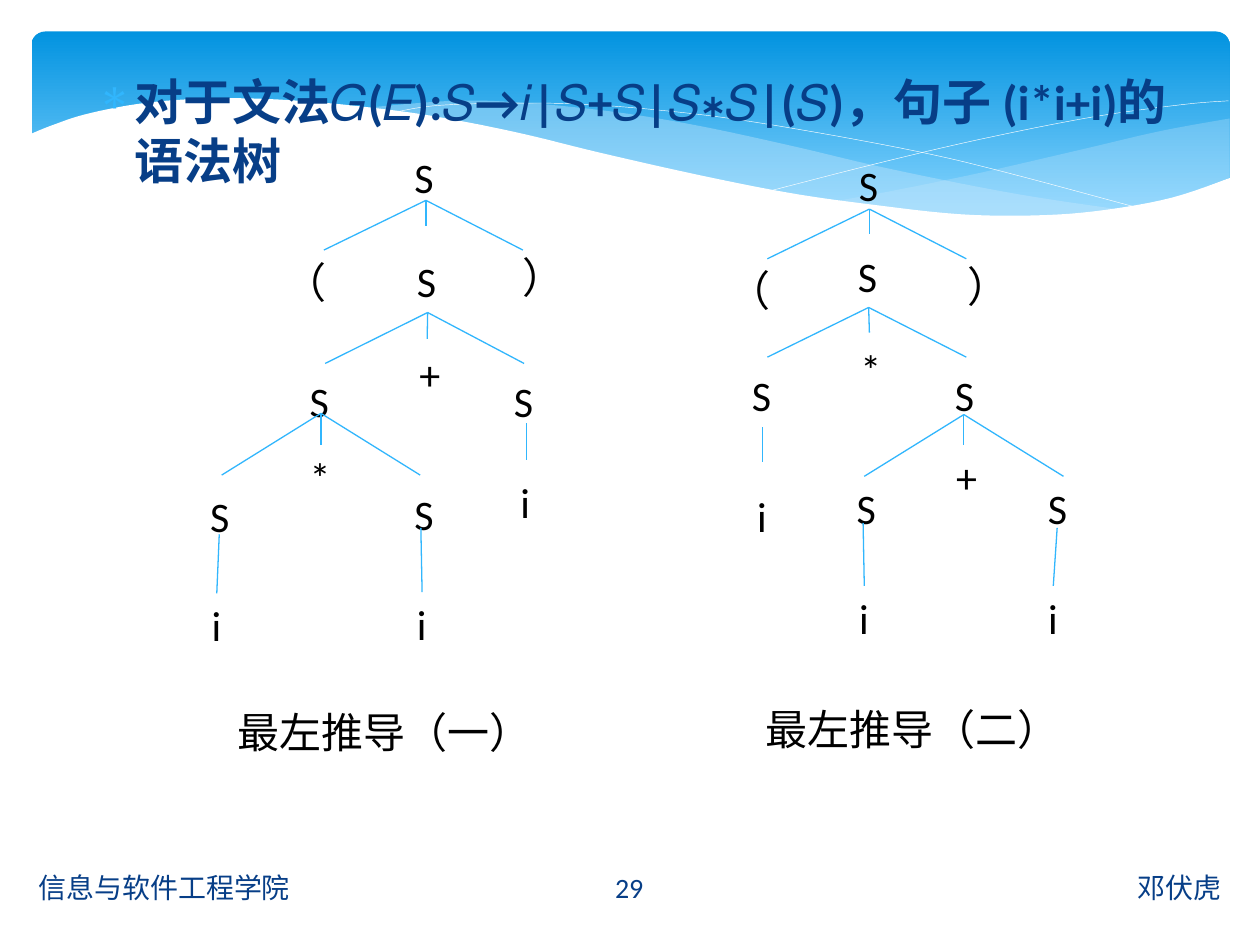
from dataclasses import dataclass
from typing import Optional

import lxml.etree
import pptx
import pptx.dml.color
import pptx.enum.shapes
import pptx.enum.text
import pptx.oxml
import pptx.oxml.ns
import pptx.util

Pt = pptx.util.Pt
RGBColor = pptx.dml.color.RGBColor
Align = pptx.enum.text.PP_ALIGN
Anchor = pptx.enum.text.MSO_ANCHOR
qn = pptx.oxml.ns.qn

NAVY = RGBColor(0x07, 0x3E, 0x87)
SKY = RGBColor(0x31, 0xB6, 0xFD)
BLACK = RGBColor(0, 0, 0)
WHITE = RGBColor(255, 255, 255)
PALE = RGBColor(0xC6, 0xE7, 0xFC)
HEADER_TOP = RGBColor(0x02, 0x93, 0xE0)
HEADER_END = RGBColor(0x83, 0xD3, 0xFE)
FONT = "Calibri"
NODE_HEIGHT = 36
NODE_WIDTHS = {"i": 20.2, "（": 38.9, "）": 38.9}
CAPTION_WIDTH = 184.3


@dataclass
class Node:
    text: str
    left: float
    top: float


@dataclass
class Branch:
    """Three lines from one apex; parent is the index of a joined node."""
    x: float
    y: float
    left: float
    right: float
    drop: float
    stem: float
    parent: Optional[int] = None


@dataclass
class Stem:
    """One line down; child is the index of a joined node."""
    x1: float
    y1: float
    x2: float
    y2: float
    child: Optional[int] = None


@dataclass
class Tree:
    nodes: list
    branches: list
    stems: list
    caption: Node


# Waves of the header, as knots of smooth curves
RIGHT_TOP = [(702.7, 67.7), (663.1, 74.9), (619.9, 85), (560.9, 98.6), (508.3, 109.4), (475.9, 115.2)]
RIGHT_BOTTOM = [(475.9, 115.2), (517.7, 120.2), (562.3, 123.8), (601.2, 123.8), (634.3, 120.2),
                (668.2, 113.8), (702.7, 101.5)]
MIDDLE_TOP = [(643, 120.2), (581, 110.9), (508.3, 96.5), (452.9, 83.5), (399.6, 72), (352.1, 64.1),
              (302.4, 59), (259.9, 57.6), (205.9, 61.9)]
MIDDLE_BOTTOM = [(205.9, 61.9), (260.6, 69.8), (323.3, 83.5), (407.5, 103), (468, 113.8),
                 (519.8, 121), (565.2, 123.8), (603.4, 123.8), (643, 120.2)]
LONG_LINE = [(222.5, 64.8), (247.7, 60.5), (288.7, 59), (337.7, 59.8), (400.3, 65.5), (457.9, 74.2),
             (523.4, 86.4), (572.4, 97.9), (653, 119.5)]
SHORT_LINE = [(441.4, 108.7), (500.4, 93.6), (558.7, 79.9), (623.5, 67), (675.4, 59.8), (702, 57.6)]
FRONT_EDGE = [(703.4, 101.5), (669.6, 113), (630, 120.2), (592.6, 123.1), (547.9, 122.4),
              (495.4, 116.6), (450.7, 110.2), (399.6, 100.1), (342, 87.1), (301, 77), (262.8, 69.1),
              (227.5, 63.4), (180, 58.3), (139, 56.2), (105.1, 56.9), (76.3, 59.8), (48.2, 65.5),
              (28.8, 72), (16.6, 77)]

TREES = [
    Tree([Node("S", 229.7, 82.8), Node("（", 155.5, 143.3), Node("）", 291.6, 140.4),
          Node("S", 231.1, 142.6), Node("S", 169.9, 211), Node("+", 232.6, 195.8),
          Node("S", 286.6, 211), Node("S", 113, 276.5), Node("*", 169.9, 254.2),
          Node("S", 229.7, 275.8), Node("i", 290.2, 268.6), Node("i", 113.8, 339.1),
          Node("i", 231.1, 338.4)],
         [Branch(243.4, 114.5, 58.3, 55.4, 28.4, 14.4),
          Branch(244.1, 179.3, 58.3, 55.4, 28.4, 14.4, parent=3),
          Branch(183.4, 236.2, 56.7, 56.7, 35.3, 18)],
         [Stem(301, 241.9, 301, 262.8), Stem(125.3, 305.3, 124.6, 339.1, child=11),
          Stem(240.5, 301.7, 241.2, 338.4, child=12)],
         Node("最左推导（一）", 128.9, 400.3)),
    Tree([Node("S", 483.8, 87.8), Node("（", 409, 147.6), Node("）", 545.8, 145.4),
          Node("S", 483.1, 139.7), Node("S", 422.6, 207.4), Node("*", 484.6, 193),
          Node("S", 538.6, 207.4), Node("S", 482.4, 272.2), Node("+", 539.3, 254.2),
          Node("S", 591.8, 272.2), Node("i", 425.5, 276.5), Node("i", 483.8, 334.8),
          Node("i", 591.8, 334.8)],
         [Branch(496.8, 119.5, 58.3, 55.4, 28.4, 14.4),
          Branch(496.8, 175.7, 58.3, 55.4, 28.4, 14.4, parent=3),
          Branch(550.8, 236.9, 56.9, 56.9, 35.3, 17.6)],
         [Stem(435.6, 244.1, 435.6, 264.2), Stem(493.2, 298.8, 493.9, 334.8, child=11),
          Stem(604.1, 301.7, 603.4, 334.8, child=12)],
         Node("最左推导（二）", 430.6, 398.2)),
]


def smooth(knots: list, steps: int = 6) -> list:
    """Points of a Catmull-Rom curve through the knots."""
    ends = [knots[0], *knots, knots[-1]]
    points = [knots[0]]
    for a, b, c, d in zip(ends, ends[1:], ends[2:], ends[3:]):
        for step in range(1, steps + 1):
            t = step / steps
            points.append(tuple(
                0.5 * (2 * q + (r - p) * t + (2 * p - 5 * q + 4 * r - s) * t ** 2
                       + (3 * q - p - 3 * r + s) * t ** 3)
                for p, q, r, s in zip(a, b, c, d)))
    return points


def draw_curve(page, points: list, fill: Optional[RGBColor] = None, opacity: int = 100) -> None:
    """A filled area, or a thin white line when no fill is given."""
    corners = [(Pt(x), Pt(y)) for x, y in points]
    builder = page.shapes.build_freeform(*corners[0], scale=1.0)
    builder.add_line_segments(corners[1:], close=fill is not None)
    shape = builder.convert_to_shape()
    shape.shadow.inherit = False
    if fill is None:
        shape.fill.background()
        shape.line.color.rgb = WHITE
        shape.line.width = Pt(0.25)
        return
    shape.fill.solid()
    shape.fill.fore_color.rgb = fill
    shape.line.fill.background()
    if opacity < 100:
        color = shape.element.spPr.find(qn("a:solidFill"))[0]
        lxml.etree.SubElement(color, qn("a:alpha")).set("val", str(opacity * 1000))


def write(box, text: str, *, size: float = 24, color: RGBColor = BLACK, bold: bool = False,
          align=Align.LEFT, anchor=Anchor.TOP, wrap: bool = False):
    frame = box.text_frame
    frame.word_wrap = wrap
    frame.auto_size = pptx.enum.text.MSO_AUTO_SIZE.NONE
    frame.vertical_anchor = anchor
    para = frame.paragraphs[0]
    para.alignment = align
    span = para.add_run()
    span.text = text
    span.font.name, span.font.size, span.font.bold = FONT, Pt(size), bold
    span.font.color.rgb = color
    return para


def draw_node(page, node: Node, width: float):
    box = page.shapes.add_textbox(Pt(node.left), Pt(node.top), Pt(width), Pt(NODE_HEIGHT))
    write(box, node.text)
    return box


def draw_line(page, x1: float, y1: float, x2: float, y2: float, parent=None, child=None) -> None:
    line = page.shapes.add_connector(pptx.enum.shapes.MSO_CONNECTOR.STRAIGHT,
                                     Pt(x1), Pt(y1), Pt(x2), Pt(y2))
    line.line.color.rgb = SKY
    line.line.width = Pt(0.75)
    lxml.etree.SubElement(line.element.spPr, qn("a:effectLst"))
    if parent is not None:
        line.begin_connect(parent, 2)
    if child is not None:
        line.end_connect(child, 0)


def draw_tree(page, tree: Tree) -> None:
    boxes = [draw_node(page, node, NODE_WIDTHS.get(node.text, 26.6)) for node in tree.nodes]
    for b in tree.branches:
        parent = None if b.parent is None else boxes[b.parent]
        for dx, dy in ((b.right, b.drop), (-b.left, b.drop), (0, b.stem)):
            draw_line(page, b.x, b.y, b.x + dx, b.y + dy, parent=parent)
    for s in tree.stems:
        child = None if s.child is None else boxes[s.child]
        draw_line(page, s.x1, s.y1, s.x2, s.y2, child=child)
    draw_node(page, tree.caption, CAPTION_WIDTH)


def draw_header(page) -> None:
    band = page.shapes.add_shape(pptx.enum.shapes.MSO_SHAPE.ROUNDED_RECTANGLE,
                                 Pt(18), Pt(18), Pt(684.7), Pt(112.3))
    band.adjustments[0] = 0.07
    band.shadow.inherit = False
    band.line.fill.background()
    band.fill.gradient()
    band.fill.gradient_angle = 270
    for stop, color, position in zip(band.fill.gradient_stops, (HEADER_TOP, HEADER_END), (0, 0.9)):
        stop.color.rgb = color
        stop.position = position
    draw_curve(page, smooth(RIGHT_TOP) + smooth(RIGHT_BOTTOM), PALE, 29)
    draw_curve(page, smooth(MIDDLE_TOP) + smooth(MIDDLE_BOTTOM), PALE, 40)
    draw_curve(page, smooth(LONG_LINE))
    draw_curve(page, smooth(SHORT_LINE))
    draw_curve(page, smooth(FRONT_EDGE) + [(16.6, 161), (703.4, 161)], WHITE)


def draw_title(page) -> None:
    title = page.shapes.title
    title.left, title.top, title.width, title.height = Pt(48.2), Pt(37.4), Pt(648.7), Pt(73.4)
    para = write(title, "对于文法𝐺(𝐸):𝑆→𝑖|𝑆+𝑆|𝑆∗𝑆|(𝑆)，句子 (i*i+i)的语法树",
                 size=28, color=NAVY, bold=True, wrap=True)
    # Hanging bullet
    props = para._p.get_or_add_pPr()
    props.set("marL", str(Pt(21.6)))
    props.set("indent", str(Pt(-21.6)))
    color = lxml.etree.SubElement(props, qn("a:buClr"))
    lxml.etree.SubElement(color, qn("a:srgbClr")).set("val", str(SKY))
    lxml.etree.SubElement(props, qn("a:buFont")).set("typeface", "Symbol")
    lxml.etree.SubElement(props, qn("a:buChar")).set("char", "∗")
    # Bring the title in front of the header
    title.element.getparent().append(title.element)


def main() -> None:
    deck = pptx.Presentation()
    deck.slide_width, deck.slide_height = Pt(720), Pt(540)
    page = deck.slides.add_slide(deck.slide_layouts[5])
    draw_header(page)
    draw_title(page)
    for tree in TREES:
        draw_tree(page, tree)
    # Footer
    for text, left, width, align in (("信息与软件工程学院", 15.1, 298.1, Align.LEFT),
                                     ("29", 313.9, 91.4, Align.CENTER),
                                     ("邓伏虎", 406.8, 298.1, Align.RIGHT)):
        box = page.shapes.add_textbox(Pt(left), Pt(492.5), Pt(width), Pt(28.8))
        write(box, text, size=16, color=NAVY, align=align, anchor=Anchor.MIDDLE, wrap=True)
    deck.save("out.pptx")


if __name__ == "__main__":
    main()
